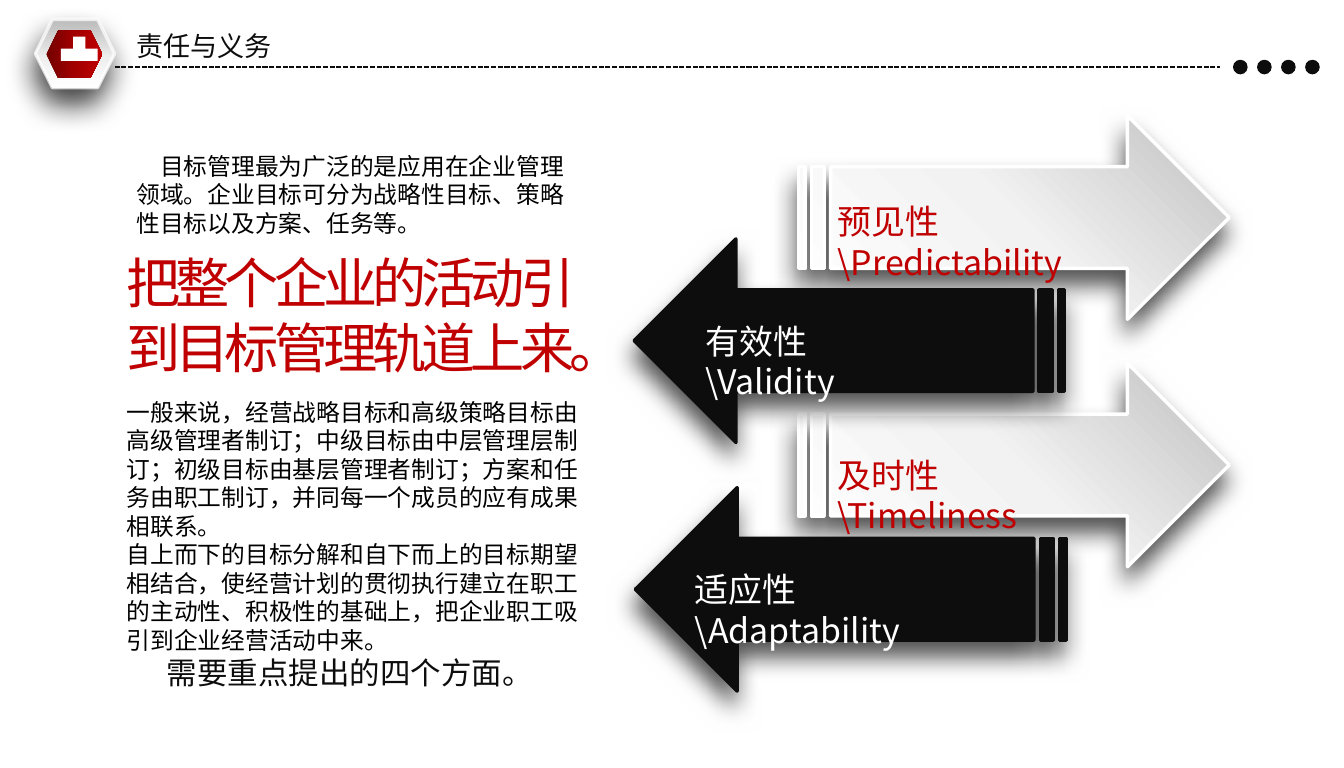
from lxml import etree
from pptx import Presentation
from pptx.dml.color import RGBColor
from pptx.enum.dml import MSO_LINE
from pptx.enum.shapes import MSO_CONNECTOR, MSO_SHAPE
from pptx.enum.text import MSO_ANCHOR
from pptx.oxml.ns import qn
from pptx.util import Inches, Pt

ARROW = MSO_SHAPE.STRIPED_RIGHT_ARROW
HEXAGON = MSO_SHAPE.HEXAGON
OVAL = MSO_SHAPE.OVAL
STRAIGHT = MSO_CONNECTOR.STRAIGHT
DASH = MSO_LINE.SQUARE_DOT
TOP = MSO_ANCHOR.TOP

INK = RGBColor(0x0D, 0x0D, 0x0D)
BLACK = RGBColor(0x00, 0x00, 0x00)
WHITE = RGBColor(0xFF, 0xFF, 0xFF)
RED = RGBColor(0xC0, 0x00, 0x00)
DEEP = RGBColor(0xA2, 0x00, 0x00)
DARK = RGBColor(0x72, 0x00, 0x00)
GREY = RGBColor(0xBF, 0xBF, 0xBF)
PALE = RGBColor(0xF2, 0xF2, 0xF2)
MIST = RGBColor(0xEF, 0xEF, 0xEF)

FONT = "Noto Sans CJK SC"
CELL = Inches(0.1)
LEADING = 1.2
COLS, ROWS = 110.2, 63

SILVER = ([(0, GREY), (50, PALE), (100, WHITE)], 135)
RIM = ([(5, GREY), (57, MIST), (100, WHITE)], 90)
CORE = ([(0, DARK), (50, DEEP), (100, RED)], 0)

# Briefcase outlines, in columns and rows
CASE = [
    [(5.7, 3.5), (6.7, 3.5), (6.7, 3.7), (7, 3.7), (7, 3.5), (6.9, 3.35),
     (6.7, 3.3), (5.6, 3.3), (5.5, 3.4), (5.5, 3.7), (5.7, 3.7)],
    [(4.6, 4), (4.6, 5.2), (4.65, 5.35), (4.8, 5.4), (5, 5.4), (5, 3.8),
     (4.8, 3.8), (4.65, 3.85)],
    [(5.2, 5.4), (7.2, 5.4), (7.2, 3.8), (5.2, 3.8)],
    [(7.6, 3.8), (7.4, 3.8), (7.4, 5.4), (7.6, 5.4), (7.75, 5.35),
     (7.8, 5.2), (7.8, 4), (7.75, 3.85)],
]


def grid(*cells):
    return [round(cell * CELL) for cell in cells]


def node(parent, tag, **attrs):
    """Append a DrawingML element to parent."""
    child = etree.SubElement(parent, qn(f"a:{tag}"))
    for key, value in attrs.items():
        child.set(key, str(value))
    return child


class Board:
    def __init__(self, deck):
        self.font = FONT
        self.shapes = deck.slides.add_slide(deck.slide_layouts[6]).shapes

    def paint(self, shape, fill):
        """Fill with one colour, or with (stops, clockwise angle)."""
        shape.shadow.inherit = False
        shape.line.fill.background()
        if isinstance(fill, RGBColor):
            shape.fill.solid()
            shape.fill.fore_color.rgb = fill
            return
        stops, angle = fill
        shape.fill.gradient()
        grad = shape.element.spPr.find(qn("a:gradFill"))
        for child in list(grad):
            grad.remove(child)
        holder = node(grad, "gsLst")
        for place, color in stops:
            stop = node(holder, "gs", pos=place * 1000)
            node(stop, "srgbClr", val=color)
        node(grad, "lin", ang=angle * 60000, scaled=0)

    def shape(self, kind, box, fill):
        shape = self.shapes.add_shape(kind, *grid(*box))
        self.paint(shape, fill)
        return shape

    def edge(self, shape, color, alpha=100):
        shape.line.color.rgb = color
        shape.line.width = Pt(2)
        line = shape.line._get_or_add_ln()
        node(line.find(f".//{qn('a:srgbClr')}"), "alpha", val=alpha * 1000)
        node(line, "round")

    def shade(self, shape, color, alpha, blur, dist):
        effects = shape.element.spPr.find(qn("a:effectLst"))
        outer = node(effects, "outerShdw", blurRad=Pt(blur), dist=Pt(dist),
                     dir=100 * 60000, algn="ctr", rotWithShape=0)
        node(node(outer, "srgbClr", val=color), "alpha", val=alpha * 1000)

    def arrow(self, left, top, fill, rim, flip=False):
        shape = self.shape(ARROW, (left, top, 35.3, 16.7), fill)
        self.edge(shape, rim)
        self.shade(shape, BLACK, 68, 14, 9)
        if flip:
            shape.element.spPr.find(qn("a:xfrm")).set("flipH", "1")

    def rule(self, left, right, row):
        line = self.shapes.add_connector(STRAIGHT, *grid(left, row, right, row))
        line.line.color.rgb = INK
        line.line.width = Pt(1)
        line.line.dash_style = DASH
        node(line.element.spPr, "effectLst")

    def icon(self, paths, fill):
        first, *rest = paths
        pen = self.shapes.build_freeform(*first[0], scale=CELL)
        pen.add_line_segments(first[1:])
        for path in rest:
            pen.move_to(*path[0])
            pen.add_line_segments(path[1:])
        self.paint(pen.convert_to_shape(), fill)

    def text(self, box, lines, size, color, space=0):
        """Set each line as a paragraph and return the paragraphs."""
        frame = self.shapes.add_textbox(*grid(*box)).text_frame
        frame.word_wrap = True
        frame.vertical_anchor = TOP
        frame.margin_top = Pt(3.6 + size * 0.06)
        for index, line in enumerate(lines):
            para = frame.paragraphs[0] if index == 0 else frame.add_paragraph()
            run = para.add_run()
            run.text = line
            self.style(para, size, color)
            if space:
                run.font._element.set("spc", str(space * 100))
        return frame.paragraphs

    def style(self, para, size, color):
        para.line_spacing = Pt(size * LEADING)
        for run in para.runs:
            run.font.size = Pt(size)
            run.font.color.rgb = color
            run.font.name = self.font
            node(run.font._element, "ea", typeface=self.font)

    def indent(self, para, cells):
        props = para._p.get_or_add_pPr()
        props.set("marL", "0")
        props.set("indent", str(round(cells * CELL)))


def header(board):
    board.rule(9.4, 100, 5.5)
    board.text((10.2, 1.8, 16, 3.7), ["责任与义务"], 16, INK)
    for step in range(4):
        board.shape(OVAL, (101.1 + step * 1.97, 4.9, 1.2, 1.2), INK)
    rim = board.shape(HEXAGON, (2.9, 1.6, 6.5, 5.6), RIM)
    board.edge(rim, WHITE, 73)
    board.shade(rim, INK, 76, 17, 10)
    board.shape(HEXAGON, (3.8, 2.5, 4.6, 3.9), CORE)
    board.icon(CASE, WHITE)


def arrows(board):
    for top in (9.5, 29.8):
        board.arrow(65.5, top, SILVER, WHITE)
    for left, top in ((52, 19.6), (52.1, 40)):
        board.arrow(left, top, INK, INK, flip=True)
    for left, top, name, term, color in (
        (67.7, 15.8, "预见性", "\\Predictability", RED),
        (67.7, 36.6, "及时性", "\\Timeliness", RED),
        (56.9, 25.6, "有效性", "\\Validity", WHITE),
        (56, 46, "适应性", "\\Adaptability", WHITE),
    ):
        board.text((left, top, 28, 7.7), [name, term], 20, color)


def story(board):
    board.text((9.4, 19.7, 45, 11.8),
               ["把整个企业的活动引", "到目标管理轨道上来。"], 32, RED, -3)
    body = board.text((9.4, 32, 42, 25.2), [
        "一般来说，经营战略目标和高级策略目标由",
        "高级管理者制订；中级目标由中层管理层制",
        "订；初级目标由基层管理者制订；方案和任",
        "务由职工制订，并同每一个成员的应有成果",
        "相联系。",
        "自上而下的目标分解和自下而上的目标期望",
        "相结合，使经营计划的贯彻执行建立在职工",
        "的主动性、积极性的基础上，把企业职工吸",
        "引到企业经营活动中来。",
        "需要重点提出的四个方面。",
    ], 14, BLACK)
    board.style(body[-1], 18, INK)
    board.indent(body[-1], 3.3)
    intro = board.text((10.2, 11.8, 40, 8.1), [
        "目标管理最为广泛的是应用在企业管理",
        "领域。企业目标可分为战略性目标、策略",
        "性目标以及方案、任务等。",
    ], 14, BLACK)
    board.indent(intro[0], 1.94)


def main():
    deck = Presentation()
    deck.slide_width, deck.slide_height = grid(COLS, ROWS)
    board = Board(deck)
    header(board)
    arrows(board)
    story(board)
    deck.save("out.pptx")


if __name__ == "__main__":
    main()
